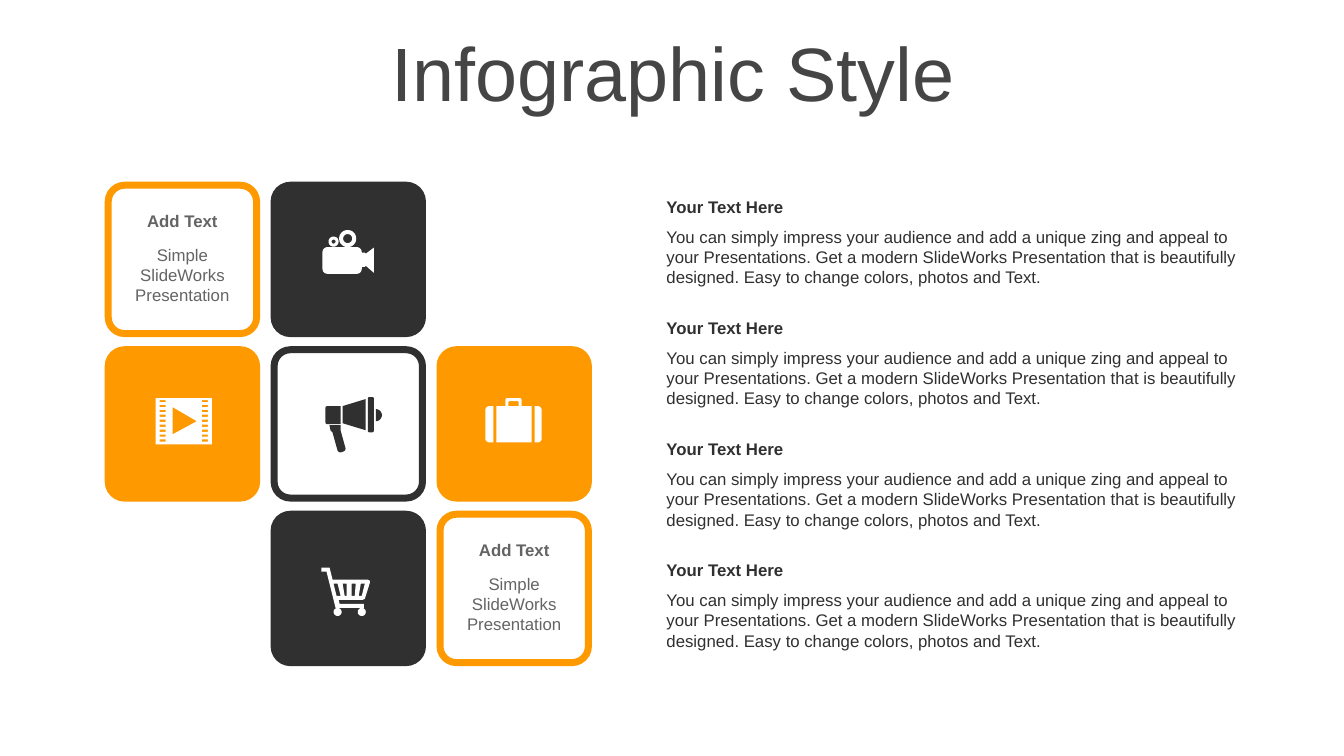
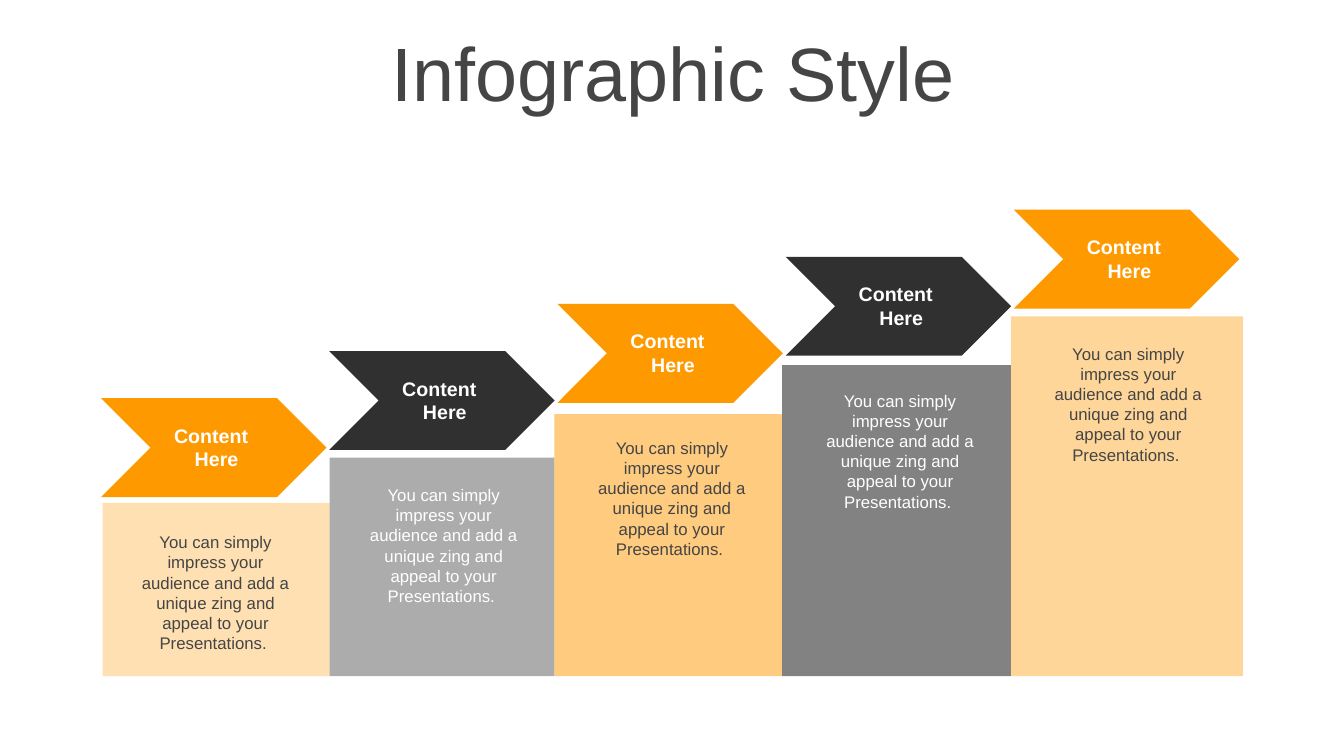
from math import cos, pi, sin

from lxml.etree import SubElement
from pptx import Presentation
from pptx.dml.color import RGBColor
from pptx.enum.shapes import MSO_SHAPE as SHAPE
from pptx.enum.text import MSO_ANCHOR as ANCHOR, MSO_AUTO_SIZE as AUTO, PP_ALIGN as ALIGN
from pptx.oxml.ns import qn
from pptx.util import Pt

COLORS = {
    "orange": "FE9900",
    "dark": "303030",
    "white": "FFFFFF",
    "title": "454545",
    "label": "646464",
}
FONT = "Arial"
TITLE = "Infographic Style"
TILE = 106
TILE_PITCH = (118.5, 117.5)
ICON_UNIT = 0.072
STEP_PITCH = (163, -33.65)
COLUMN_BOTTOM = 483

PITCH_TEXT = (
    "You can simply impress your audience and add a unique zing and appeal to your "
    "Presentations. Get a modern SlideWorks Presentation that is beautifully designed. "
    "Easy to change colors, photos and Text."
)
STEP_TEXT = (
    "You can simply impress your audience and add a unique zing and appeal to your "
    "Presentations. "
)


def rgb(name):
    return RGBColor.from_string(COLORS[name])


def style_font(paragraph, size, color, bold=False):
    font = paragraph.font
    font.name, font.size, font.bold = FONT, Pt(size), bold
    font.color.rgb = rgb(color)


def paint(shape, fill, line=None, opacity=100):
    shape.shadow.inherit = False
    shape.fill.solid()
    shape.fill.fore_color.rgb = rgb(fill)
    if opacity < 100:
        color = shape.fill._xPr.find(qn("a:solidFill"))[0]
        SubElement(color, qn("a:alpha"), val=str(opacity * 1000))
    if line:
        shape.line.color.rgb = rgb(line)
        shape.line.width = Pt(5)
    else:
        shape.line.fill.background()


def add_box(slide, kind, box, fill, line=None, opacity=100):
    shape = slide.shapes.add_shape(kind, *map(Pt, box))
    paint(shape, fill, line, opacity)
    return shape


def add_text(slide, box, lines, color, size=12, bold=False, align=ALIGN.CENTER):
    frame = slide.shapes.add_textbox(*map(Pt, box)).text_frame
    frame.word_wrap = True
    frame.text = "\n".join(lines)
    for paragraph in frame.paragraphs:
        paragraph.alignment = align
        style_font(paragraph, size, color, bold)


def add_titled_slide(deck):
    slide = deck.slides.add_slide(deck.slide_layouts[5])
    title = slide.shapes.title
    title.left, title.top, title.width, title.height = map(Pt, (25, 26.6, 911.5, 57))
    frame = title.text_frame
    frame.text = TITLE
    frame.auto_size = AUTO.NONE
    frame.vertical_anchor = ANCHOR.MIDDLE
    heading = frame.paragraphs[0]
    heading.alignment = ALIGN.CENTER
    heading.line_spacing = 0.9
    style_font(heading, 54, "title")
    return slide


def rounded(left, top, right, bottom, radii=(0, 0, 0, 0)):
    corners = ((left, top, 1, 1), (right, top, -1, 1),
               (right, bottom, -1, -1), (left, bottom, 1, -1))
    points = []
    for turn, ((x, y, dx, dy), radius) in enumerate(zip(corners, radii)):
        for step in range(9 if radius else 1):
            angle = pi + (turn + step / 8) * pi / 2
            points.append((x + radius * (dx + cos(angle)) if radius else x,
                           y + radius * (dy + sin(angle)) if radius else y))
    return points


def circle(x, y, radius):
    return rounded(x - radius, y - radius, x + radius, y + radius, (radius,) * 4)


ICONS = {
    "camera": [
        circle(59, 56, 2), circle(59, 56, 5),
        circle(73, 53, 4.5), circle(73, 53, 8.5),
        rounded(48, 61.5, 87, 88, (5, 5, 5, 5)),
        [(87, 67), (90, 67), (91, 68), (99, 62), (99, 87), (91, 80), (90, 81), (87, 81)],
    ],
    "film": [
        rounded(47, 48, 103, 94),
        [(64, 57), (64, 84), (88, 71)],
        *(rounded(x, 50 + 4.88 * row, x + 6, 52.2 + 4.88 * row)
          for x in (51, 93) for row in range(9)),
    ],
    "megaphone": [
        [(66, 75), (66, 77), (66, 80), (71, 98), (70.5, 100), (69, 101), (66, 102),
         (64, 101.5), (63, 100), (58, 82), (56, 80), (55, 75)],
        rounded(101, 59, 107, 71, (0, 6, 6, 0)),
        rounded(51, 56, 66, 74, (2, 0, 0, 2)),
        [(91, 49), (91, 80), (68, 73), (68, 56)],
        rounded(93, 47, 99, 82, (1.5,) * 4),
    ],
    "suitcase": [
        rounded(45, 56, 53, 92, (4, 0, 0, 4)),
        rounded(94, 56, 101, 92, (0, 4, 4, 0)),
        rounded(56, 56, 91, 92),
        rounded(65, 48, 81, 56, (2, 2, 0, 0)),
        rounded(68, 51, 78, 56, (1, 1, 0, 0)),
    ],
    "cart": [
        [(55, 53), (58, 65), (93, 65), (95, 66), (95, 68), (90, 84), (88, 85), (64, 85),
         (65, 89), (89, 89), (89, 93), (61, 93), (52, 57), (47, 57), (47, 53)],
        [(86, 69), (84, 81), (87, 81), (90, 69)],
        [(77, 69), (77, 81), (80, 81), (81, 69)],
        [(68, 69), (70, 81), (72, 81), (72, 69)],
        [(59, 69), (62, 81), (66, 81), (63, 69)],
        circle(63, 97, 4), circle(87, 97, 4),
    ],
}

TILES = [
    (0, 0, "white", "orange", None),
    (1, 0, "dark", "dark", "camera"),
    (0, 1, "orange", "orange", "film"),
    (1, 1, "white", "dark", "megaphone"),
    (2, 1, "orange", "orange", "suitcase"),
    (1, 2, "dark", "dark", "cart"),
    (2, 2, "white", "orange", None),
]

STEPS = [
    ("orange", 30, 73.4, 359.3),
    ("dark", 40, 235.4, 326.9),
    ("orange", 50, 396, 295.9),
    ("dark", 60, 558.7, 260.8),
    ("orange", 40, 722, 226),
]
COLUMN_EDGES = [step[2] for step in STEPS] + [887.8]


def add_icon(slide, left, top, outlines, color):
    scaled = [[(x * 10, y * 10) for x, y in outline] for outline in outlines]
    builder = slide.shapes.build_freeform(*scaled[0][0], scale=Pt(ICON_UNIT))
    for outline in scaled:
        builder.move_to(*outline[0])
        builder.add_line_segments(outline[1:], close=True)
    paint(builder.convert_to_shape(Pt(left), Pt(top)), color)


def add_tile(slide, left, top, fill, border, icon):
    tile = add_box(slide, SHAPE.ROUNDED_RECTANGLE, (left, top, TILE, TILE), fill, border)
    tile.adjustments[0] = 0.11
    if icon:
        add_icon(slide, left, top, ICONS[icon], "dark" if fill == "white" else "white")
    else:
        add_text(slide, (left + 5, top + 14.5, 96, 21.6), ["Add Text"], "label", bold=True)
        add_text(slide, (left + 5, top + 39, 96, 51),
                 ["Simple SlideWorks Presentation"], "label")


def add_tile_grid(slide, left, top):
    for column, row, fill, border, icon in TILES:
        add_tile(slide, left + column * TILE_PITCH[0], top + row * TILE_PITCH[1],
                 fill, border, icon)


def add_pitch_list(slide, left, top, width):
    for row in range(4):
        y = top + row * 86.5
        add_text(slide, (left, y, width, 21.6), ["Your Text Here"], "dark",
                 bold=True, align=ALIGN.LEFT)
        add_text(slide, (left, y + 21.6, width, 51), [PITCH_TEXT], "dark", align=ALIGN.LEFT)


def add_step(slide, left, top, color, opacity, column_box):
    add_box(slide, SHAPE.RECTANGLE, column_box, color, opacity=opacity)
    add_box(slide, SHAPE.CHEVRON, (left, top, 161, 70.6), color)
    add_text(slide, (left + 41, top + 14.6, 79.2, 41), ["Content ", " Here"],
             "white", size=14, bold=True)
    add_text(slide, (left + 14.5, top + 92, 134.6, 80), [STEP_TEXT],
             "title" if color == "orange" else "white")


def add_staircase(slide, left, top):
    for index, (color, opacity, edge, column_top) in enumerate(STEPS):
        column = (edge, column_top, COLUMN_EDGES[index + 1] - edge, COLUMN_BOTTOM - column_top)
        add_step(slide, left + index * STEP_PITCH[0], top + index * STEP_PITCH[1],
                 color, opacity, column)


def main():
    deck = Presentation()
    deck.slide_width, deck.slide_height = Pt(960), Pt(540)

    tiles_slide = add_titled_slide(deck)
    add_tile_grid(tiles_slide, 77.3, 132.3)
    add_pitch_list(tiles_slide, 469, 136.8, 422.6)

    stairs_slide = add_titled_slide(deck)
    add_staircase(stairs_slide, 72.2, 284.4)

    deck.save("out.pptx")


if __name__ == "__main__":
    main()
